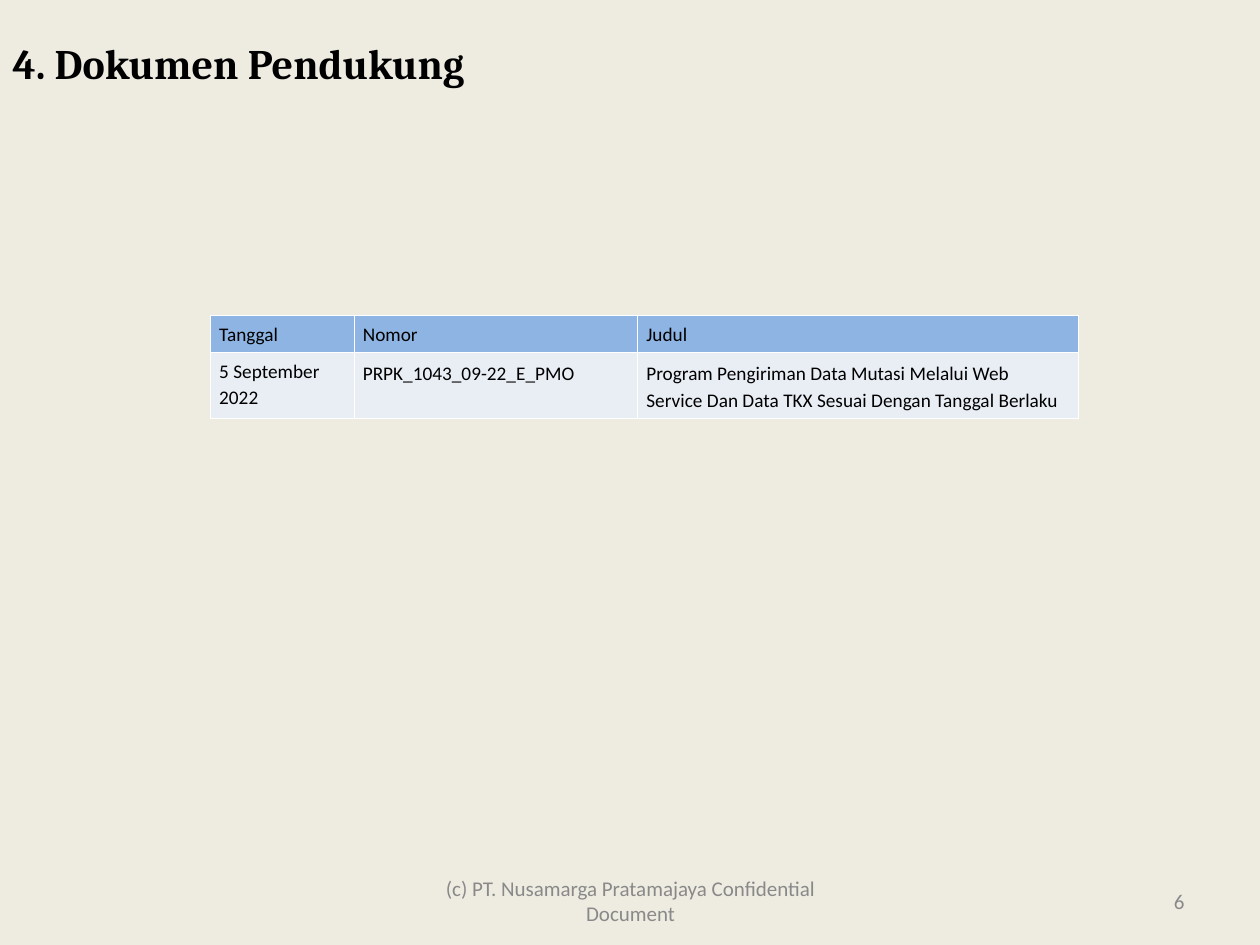
from dataclasses import dataclass

from lxml import etree
from pptx import Presentation
from pptx.dml.color import RGBColor
from pptx.enum.text import MSO_ANCHOR, MSO_AUTO_SIZE, PP_ALIGN
from pptx.oxml.ns import qn
from pptx.util import Inches, Pt

LEFT, CENTER, RIGHT = PP_ALIGN.LEFT, PP_ALIGN.CENTER, PP_ALIGN.RIGHT
TOP, MIDDLE = MSO_ANCHOR.TOP, MSO_ANCHOR.MIDDLE
FIT_SHAPE = MSO_AUTO_SIZE.SHAPE_TO_FIT_TEXT
TITLE_ONLY = 5


@dataclass(frozen=True)
class Theme:
    background: str = "EEECE1"
    text: str = "000000"
    muted: str = "898989"
    header_fill: str = "8EB4E3"
    body_fill: str = "E9EDF4"
    border: str = "FFFFFF"
    border_width: float = 0.45
    heading_font: str = "Cambria"
    body_font: str = "Calibri"
    title_size: int = 24
    footer_size: int = 12
    table_size: int = 11


def apply_format(target, values):
    for name, value in values.items():
        setattr(target, name, value)


class SlideBuilder:
    def __init__(self, presentation, theme):
        self.theme = theme
        self.slide = presentation.slides.add_slide(presentation.slide_layouts[TITLE_ONLY])
        self.fill(self.slide.background.fill, theme.background)

    def fill(self, fill, color):
        fill.solid()
        fill.fore_color.rgb = RGBColor.from_string(color)

    def add_text(self, frame, text, font, size, color, bold=False, **paragraph_format):
        paragraph = frame.paragraphs[0]
        apply_format(paragraph, paragraph_format)
        run = paragraph.add_run()
        run.text = text
        apply_format(run.font, {"name": font, "size": Pt(size), "bold": bold})
        run.font.color.rgb = RGBColor.from_string(color)

    def title(self, text, left, top, width, height):
        shape = self.slide.shapes.title
        apply_format(shape, {"left": Inches(left), "top": Inches(top),
                             "width": Inches(width), "height": Inches(height)})
        apply_format(shape.text_frame, {"word_wrap": True, "vertical_anchor": TOP,
                                        "auto_size": FIT_SHAPE})
        self.add_text(shape.text_frame, text, self.theme.heading_font,
                      self.theme.title_size, self.theme.text, True, alignment=LEFT)

    def footer(self, text, left, width, alignment):
        shape = self.slide.shapes.add_textbox(
            Inches(left), Inches(6.95), Inches(width), Inches(0.4))
        apply_format(shape.text_frame, {"word_wrap": True, "vertical_anchor": MIDDLE})
        self.add_text(shape.text_frame, text, self.theme.body_font,
                      self.theme.footer_size, self.theme.muted, alignment=alignment)

    def border(self, cell):
        properties = cell._tc.get_or_add_tcPr()
        for side in ("a:lnL", "a:lnR", "a:lnT", "a:lnB"):
            line = etree.SubElement(properties, qn(side), w=str(Pt(self.theme.border_width)))
            solid = etree.SubElement(line, qn("a:solidFill"))
            etree.SubElement(solid, qn("a:srgbClr"), val=self.theme.border)

    def table(self, rows, left, top, widths, heights, fills, spacings):
        table = self.slide.shapes.add_table(
            len(rows), len(widths), Inches(left), Inches(top),
            Inches(sum(widths)), Inches(sum(heights))).table
        for column, width in zip(table.columns, widths):
            column.width = Inches(width)
        for row, height in zip(table.rows, heights):
            row.height = Inches(height)
        for row, texts, color, line_spacings in zip(table.rows, rows, fills, spacings):
            for cell, text, line_spacing in zip(row.cells, texts, line_spacings):
                apply_format(cell, {"margin_left": Inches(0.07), "margin_right": Inches(0.07),
                                    "margin_top": Inches(0.05), "margin_bottom": Inches(0.05),
                                    "vertical_anchor": TOP})
                self.border(cell)
                self.fill(cell.fill, color)
                self.add_text(cell.text_frame, text, self.theme.body_font,
                              self.theme.table_size, self.theme.text,
                              alignment=LEFT, line_spacing=line_spacing)


def main():
    presentation = Presentation()
    presentation.slide_width = Inches(10)
    presentation.slide_height = Inches(7.5)
    theme = Theme()
    builder = SlideBuilder(presentation, theme)
    builder.footer("(c) PT. Nusamarga Pratamajaya Confidential Document", 3.42, 3.17, CENTER)
    builder.footer("6", 7.17, 2.33, RIGHT)
    builder.title("4. Dokumen Pendukung", 0, 0.25, 10, 0.5)
    builder.table(
        rows=[
            ("Tanggal", "Nomor", "Judul"),
            ("5 September 2022", "PRPK_1043_09-22_E_PMO",
             "Program Pengiriman Data Mutasi Melalui Web Service "
             "Dan Data TKX Sesuai Dengan Tanggal Berlaku"),
        ],
        left=1.67, top=2.5,
        widths=(1.14, 2.25, 3.5), heights=(0.2, 0.42),
        fills=(theme.header_fill, theme.body_fill),
        spacings=((1.07, 1.07, 1.07), (1.07, 1.15, 1.15)))
    presentation.save("out.pptx")


if __name__ == "__main__":
    main()
